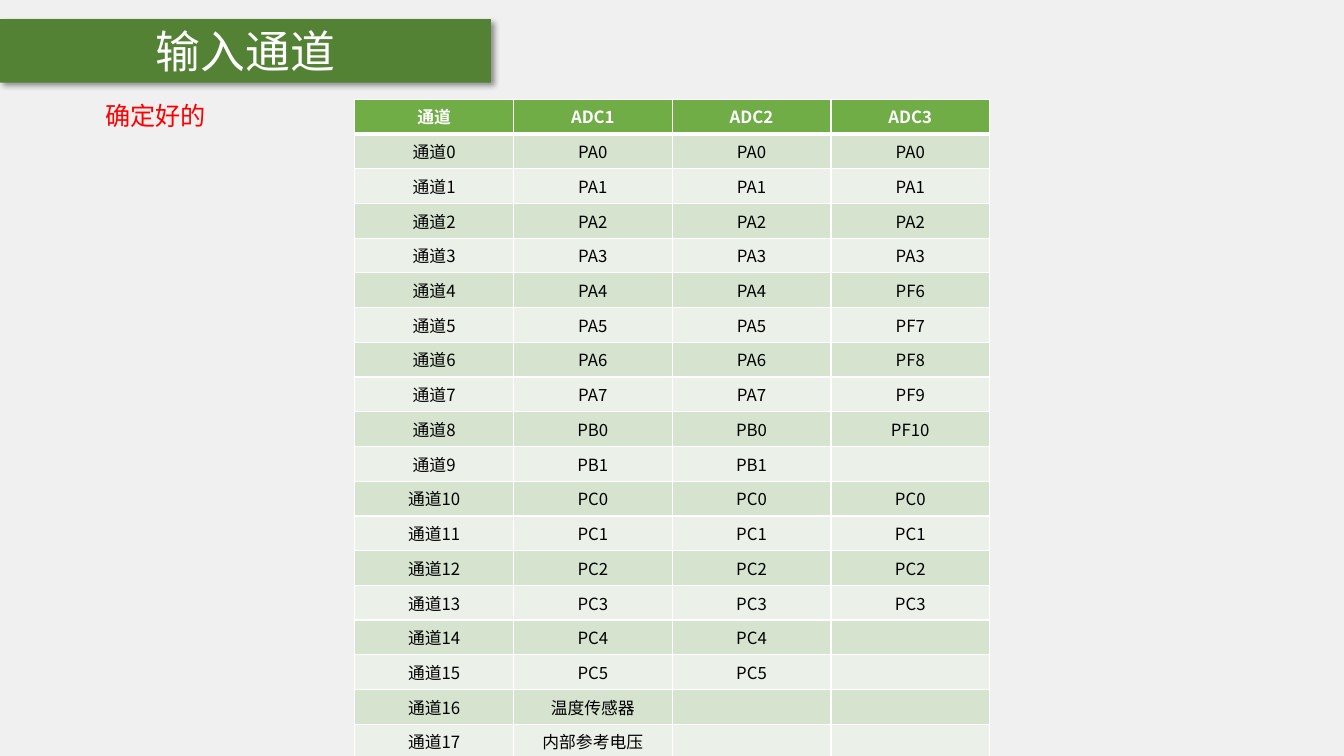
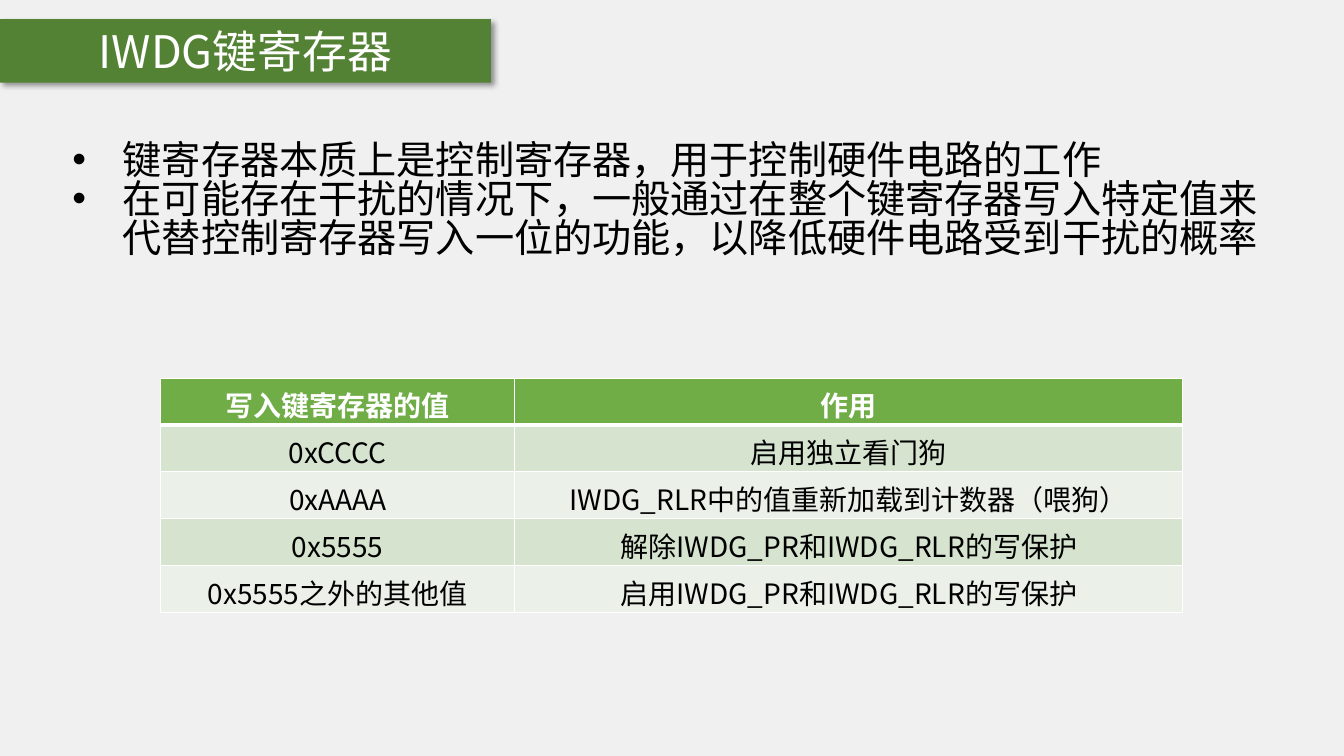
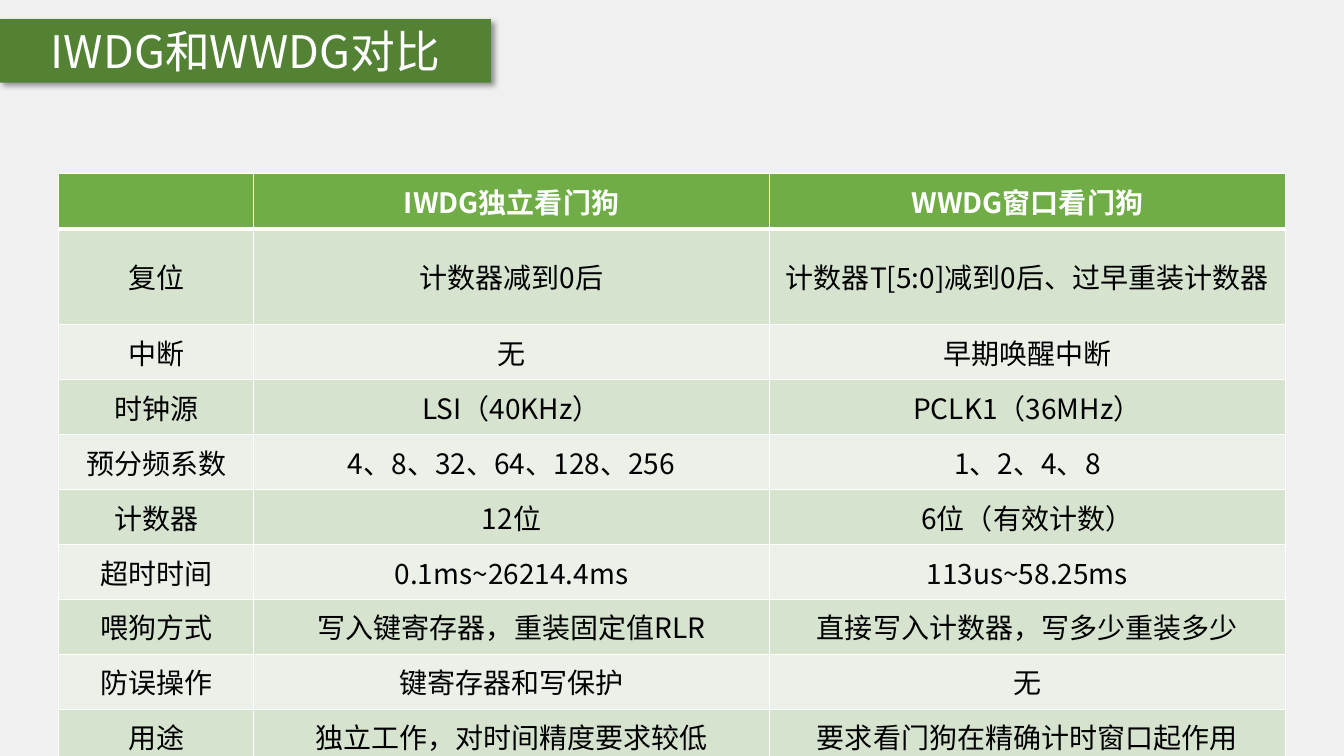
from dataclasses import dataclass

from lxml.etree import SubElement as Sub
from pptx import Presentation
from pptx.dml.color import RGBColor as Rgb
from pptx.enum.text import MSO_ANCHOR as Anchor, MSO_AUTO_SIZE as Fit, PP_ALIGN as Align
from pptx.oxml import parse_xml
from pptx.oxml.ns import nsdecls, qn
from pptx.util import Cm, Pt


@dataclass(frozen=True)
class Theme:
    font: str = "Noto Sans CJK SC"
    back: str = "F0F0F0"
    band: str = "548235"
    head: str = "70AD47"
    dark: str = "D5E3CF"
    light: str = "EBF1E9"
    white: str = "FFFFFF"
    black: str = "000000"
    red: str = "FF0000"
    title: int = 32
    body: int = 28
    cell: int = 20
    note: int = 18
    small: int = 12
    tight: float = 0.83


T = Theme()


def write(frame, text, size, color=T.black, bold=False, align=Align.LEFT, line=None, bullet=False):
    for i, words in enumerate(text.split("\n")):
        para = frame.paragraphs[0] if i == 0 else frame.add_paragraph()
        para.alignment = align
        para.space_before = Pt(0)
        if line:
            para.line_spacing = line
        if bullet:
            props = para._p.get_or_add_pPr()
            props.set("marL", str(Cm(1.27)))
            props.set("indent", str(Cm(-1.27)))
            Sub(props, qn("a:buFont"), typeface="Arial")
            Sub(props, qn("a:buChar"), char="•")
        if not words:
            Sub(para._p, qn("a:endParaRPr"), sz=str(size * 100))
            continue
        run = para.add_run()
        run.text = words
        font = run.font
        font.name, font.size, font.bold = T.font, Pt(size), bold
        font.color.rgb = Rgb.from_string(color)
        Sub(font._element, qn("a:ea"), typeface=T.font)


def place(shape, box):
    shape.left, shape.top, shape.width, shape.height = map(Cm, box)


def paint(fill, color):
    fill.solid()
    fill.fore_color.rgb = Rgb.from_string(color)


def banner(slide, text, box=(0, 0.48, 12.37, 1.6)):
    band = slide.shapes.title
    place(band, box)
    paint(band.fill, T.band)
    band.line.fill.background()
    band.shadow.inherit = False
    band._element.spPr.find(qn("a:effectLst")).append(parse_xml(
        f'<a:outerShdw {nsdecls("a")} blurRad="{Pt(4)}" dist="{Pt(3)}" dir="2700000" algn="tl" rotWithShape="0">'
        f'<a:srgbClr val="{T.black}"><a:alpha val="40000"/></a:srgbClr></a:outerShdw>'))
    frame = band.text_frame
    frame.auto_size = Fit.NONE
    frame.vertical_anchor = Anchor.MIDDLE
    write(frame, text, T.title, T.white, align=Align.CENTER)


def edge(cell, row):
    props = cell._tc.get_or_add_tcPr()
    for i, side in enumerate("LRTB"):
        thick = (row, side) in ((0, "B"), (1, "T"))
        props.insert(i, parse_xml(
            f'<a:ln{side} {nsdecls("a")} w="{Pt(3 if thick else 1)}"><a:solidFill>'
            f'<a:srgbClr val="{T.white}"/></a:solidFill></a:ln{side}>'))


def grid(slide, rows, spot, cols, high, size=T.cell, pad=(0.33, 0.18, 0.18)):
    box = (*spot, sum(cols), high * len(rows))
    table = slide.shapes.add_table(len(rows), len(cols), *map(Cm, box)).table
    for col, wide in zip(table.columns, cols):
        col.width = Cm(wide)
    side, top, base = map(Cm, pad)
    for r, row in enumerate(rows):
        table.rows[r].height = Cm(high)
        tint = T.head if r == 0 else T.dark if r % 2 else T.light
        for c, text in enumerate(row):
            cell = table.cell(r, c)
            edge(cell, r)
            paint(cell.fill, tint)
            cell.vertical_anchor = Anchor.MIDDLE
            cell.margin_left = cell.margin_right = side
            cell.margin_top, cell.margin_bottom = top, base
            write(cell.text_frame, text, size, T.black if r else T.white, r == 0, Align.CENTER)


def note(slide, text, box):
    shape = slide.shapes.add_textbox(*map(Cm, box))
    shape.text_frame.word_wrap = True
    write(shape.text_frame, text, T.note, T.red, line=T.tight)


def points(slide, text, box):
    shape = slide.placeholders[1]
    place(shape, box)
    shape.text_frame.auto_size = Fit.NONE
    write(shape.text_frame, text, T.body, line=T.tight, bullet=True)


def pins():
    ports = [f"PA{i}" for i in range(8)] + ["PB0", "PB1"] + [f"PC{i}" for i in range(6)]
    third = ports[:4] + [f"PF{i}" for i in range(6, 11)] + [""] + ports[10:14] + [""] * 4
    first = ports + ["温度传感器", "内部参考电压"]
    second = ports + ["", ""]
    names = [f"通道{i}" for i in range(18)]
    return [("通道", "ADC1", "ADC2", "ADC3"), *zip(names, first, second, third)]


KEYS = [
    ("写入键寄存器的值", "作用"),
    ("0xCCCC", "启用独立看门狗"),
    ("0xAAAA", "IWDG_RLR中的值重新加载到计数器（喂狗）"),
    ("0x5555", "解除IWDG_PR和IWDG_RLR的写保护"),
    ("0x5555之外的其他值", "启用IWDG_PR和IWDG_RLR的写保护"),
]

DOGS = [
    ("", "IWDG独立看门狗", "WWDG窗口看门狗"),
    ("复位", "计数器减到0后", "计数器T[5:0]减到0后、过早重装计数器"),
    ("中断", "无", "早期唤醒中断"),
    ("时钟源", "LSI（40KHz）", "PCLK1（36MHz）"),
    ("预分频系数", "4、8、32、64、128、256", "1、2、4、8"),
    ("计数器", "12位", "6位（有效计数）"),
    ("超时时间", "0.1ms~26214.4ms", "113us~58.25ms"),
    ("喂狗方式", "写入键寄存器，重装固定值RLR", "直接写入计数器，写多少重装多少"),
    ("防误操作", "键寄存器和写保护", "无"),
    ("用途", "独立工作，对时间精度要求较低", "要求看门狗在精确计时窗口起作用"),
]

POINTS = """键寄存器本质上是控制寄存器，用于控制硬件电路的工作
在可能存在干扰的情况下，一般通过在整个键寄存器写入特定值来代替控制寄存器写入一位的功能，以降低硬件电路受到干扰的概率"""


def main():
    deck = Presentation()
    deck.slide_width, deck.slide_height = Cm(33.87), Cm(19.05)
    paint(deck.slide_master.background.fill, T.back)
    listed, plain = deck.slide_layouts[1], deck.slide_layouts[5]

    slide = deck.slides.add_slide(plain)
    banner(slide, "输入通道")
    grid(slide, pins(), (8.94, 2.5), [4] * 4, 0.84, T.small, (0.25, 0.13, 0.13))
    note(slide, "确定好的", (2.4, 2.54, 5.77, 1.02))

    slide = deck.slides.add_slide(listed)
    banner(slide, "IWDG键寄存器")
    points(slide, POINTS, (1.57, 3.48, 30.68, 3.84))
    grid(slide, KEYS, (4.05, 9.53), (8.92, 16.84), 1.18, pad=(0.33, 0.15, 0))

    slide = deck.slides.add_slide(plain)
    banner(slide, "IWDG和WWDG对比")
    grid(slide, DOGS, (1.48, 4.38), (4.91, 13, 13), 1.18)

    deck.save("out.pptx")


if __name__ == "__main__":
    main()
